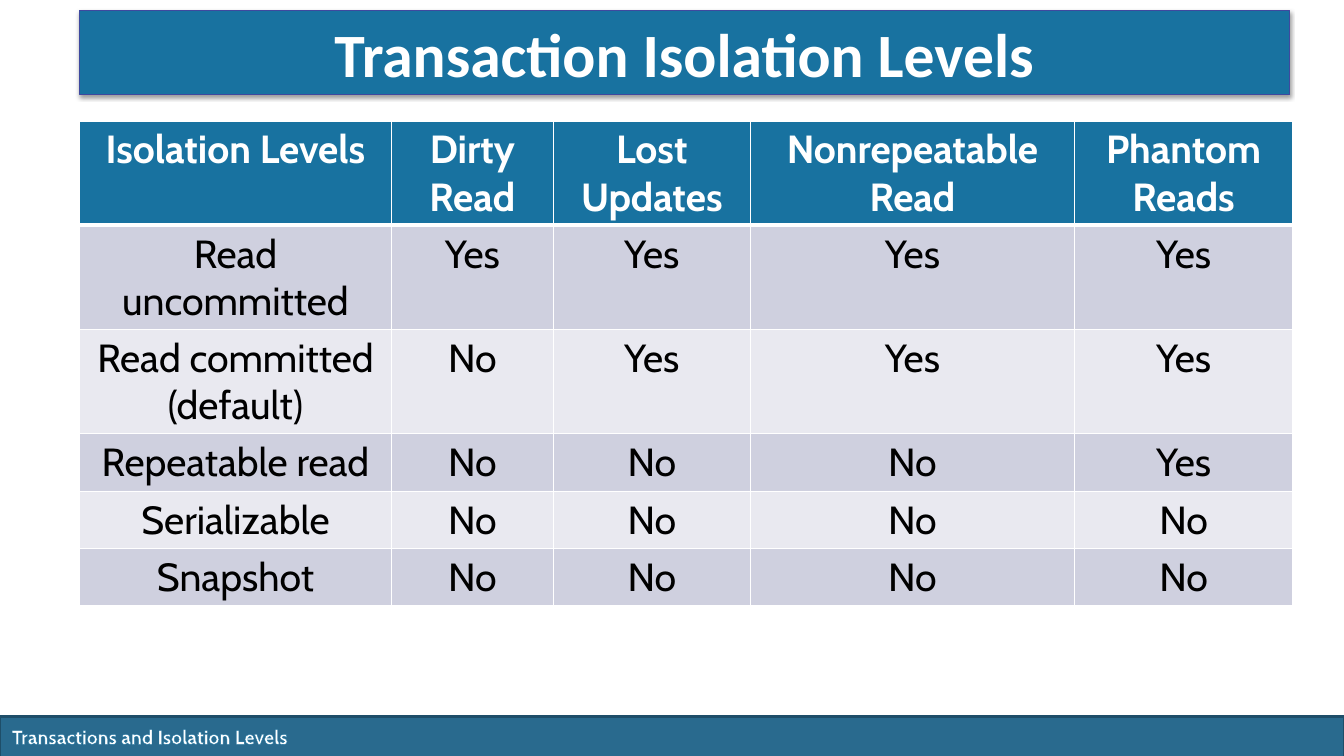
from dataclasses import dataclass

from lxml import etree
from pptx import Presentation
from pptx.dml.color import RGBColor
from pptx.enum import shapes, text
from pptx.oxml import ns
from pptx.util import Inches, Pt

TITLE_ONLY = 5


@dataclass(frozen=True)
class Theme:
    title_font: str = "Calibri"
    body_font: str = "Cabin"
    title_size: float = 44
    table_size: float = 28
    footer_size: float = 14
    white: str = "FFFFFF"
    black: str = "000000"
    blue: str = "1872A0"
    title_line: str = "3E499F"
    footer_fill: str = "296A8E"
    footer_line: str = "1E4E69"
    bands: tuple = ("CFD0DF", "E9E9F0")


def add_element(parent, tag, index=None, **attributes):
    """Put a new a: element in parent, at the end unless an index is given."""
    element = etree.Element(ns.qn("a:" + tag), {k: str(v) for k, v in attributes.items()})
    parent.insert(len(parent) if index is None else index, element)
    return element


def add_line(parent, tag, color, width, index):
    line = add_element(parent, tag, index, w=int(Pt(width)))
    add_element(add_element(line, "solidFill"), "srgbClr", val=color)


def write(frame, content, *, font, size, color, bold=False, align=None, outline=None):
    """Fill a text frame with one paragraph per line of content."""
    frame.word_wrap = True
    for number, words in enumerate(content.split("\n")):
        paragraph = frame.add_paragraph() if number else frame.paragraphs[0]
        paragraph.alignment = align
        run = paragraph.add_run()
        run.text = words
        run.font.name = font
        run.font.size = Pt(size)
        run.font.bold = bold
        run.font.color.rgb = RGBColor.from_string(color)
        if outline:
            add_line(run.font._element, "ln", outline, 0.8, 0)


class SlideBuilder:
    def __init__(self, slide, theme):
        self.slide = slide
        self.theme = theme

    def paint(self, shape, fill, line, width):
        shape.fill.solid()
        shape.fill.fore_color.rgb = RGBColor.from_string(fill)
        shape.line.color.rgb = RGBColor.from_string(line)
        shape.line.width = Pt(width)

    def place(self, shape, left, top, width, height):
        shape.left, shape.top = Inches(left), Inches(top)
        shape.width, shape.height = Inches(width), Inches(height)

    def title(self, content, box):
        theme = self.theme
        title = self.slide.shapes.title
        self.place(title, *box)
        self.paint(title, theme.blue, theme.title_line, 0.75)
        effects = add_element(title._element.spPr, "effectLst")
        shadow = add_element(effects, "outerShdw", blurRad=int(Pt(3.1)), dist=int(Pt(1.6)),
                             dir=90 * 60000, rotWithShape=0)
        add_element(add_element(shadow, "srgbClr", val=theme.black), "alpha", val=38000)
        frame = title.text_frame
        frame.auto_size = text.MSO_AUTO_SIZE.NONE
        frame.vertical_anchor = text.MSO_ANCHOR.MIDDLE
        write(frame, content, font=theme.title_font, size=theme.title_size,
              color=theme.white, bold=True, align=text.PP_ALIGN.CENTER)

    def bar(self, box):
        bar = self.slide.shapes.add_shape(shapes.MSO_SHAPE.RECTANGLE, *map(Inches, box))
        bar.shadow.inherit = False
        self.paint(bar, self.theme.footer_fill, self.theme.footer_line, 2)

    def footer_text(self, content, box):
        theme = self.theme
        frame = self.slide.shapes.add_textbox(*map(Inches, box)).text_frame
        write(frame, content, font=theme.body_font, size=theme.footer_size,
              color=theme.white, bold=True, outline=theme.blue)

    def table(self, rows, left, top, widths, heights):
        table = self.slide.shapes.add_table(
            len(rows), len(widths), Inches(left), Inches(top),
            Inches(sum(widths)), Inches(sum(heights))).table
        for column, width in zip(table.columns, widths):
            column.width = Inches(width)
        for row, height in zip(table.rows, heights):
            row.height = Inches(height)
        for row_number, values in enumerate(rows):
            for column_number, value in enumerate(values):
                self.cell(table.cell(row_number, column_number), value, row_number)

    def cell(self, cell, value, row_number):
        theme = self.theme
        header = row_number == 0
        fill = theme.blue if header else theme.bands[(row_number - 1) % 2]
        cell.fill.solid()
        cell.fill.fore_color.rgb = RGBColor.from_string(fill)
        borders = {"lnL": 1, "lnR": 1, "lnT": 3 if row_number == 1 else 1,
                   "lnB": 3 if header else 1}
        for index, (side, width) in enumerate(borders.items()):
            add_line(cell._tc.get_or_add_tcPr(), side, theme.white, width, index)
        write(cell.text_frame, value, font=theme.body_font, size=theme.table_size,
              color=theme.white if header else theme.black, bold=header,
              align=text.PP_ALIGN.CENTER)


def main():
    presentation = Presentation()
    presentation.slide_width, presentation.slide_height = Inches(13.33), Inches(7.5)
    slide = presentation.slides.add_slide(presentation.slide_layouts[TITLE_ONLY])
    builder = SlideBuilder(slide, Theme())

    builder.bar((0, 7.11, 13.33, 0.4))
    builder.footer_text("Transactions and Isolation Levels", (0.02, 7.14, 6.06, 0.34))
    isolation_levels = [
        ("Isolation Levels", "Dirty Read", "Lost Updates", "Nonrepeatable Read",
         "Phantom\nReads"),
        ("Read uncommitted", "Yes", "Yes", "Yes", "Yes"),
        ("Read committed (default)", "No", "Yes", "Yes", "Yes"),
        ("Repeatable read", "No", "No", "No", "Yes"),
        ("Serializable", "No", "No", "No", "No"),
        ("Snapshot", "No", "No", "No", "No"),
    ]
    builder.table(isolation_levels, 0.79, 1.2, widths=(3.09, 1.61, 1.95, 3.22, 2.16),
                  heights=[1.03] * 3 + [0.57] * 3)
    builder.title("Transaction Isolation Levels", (0.79, 0.1, 12, 0.84))
    presentation.save("out.pptx")


if __name__ == "__main__":
    main()
